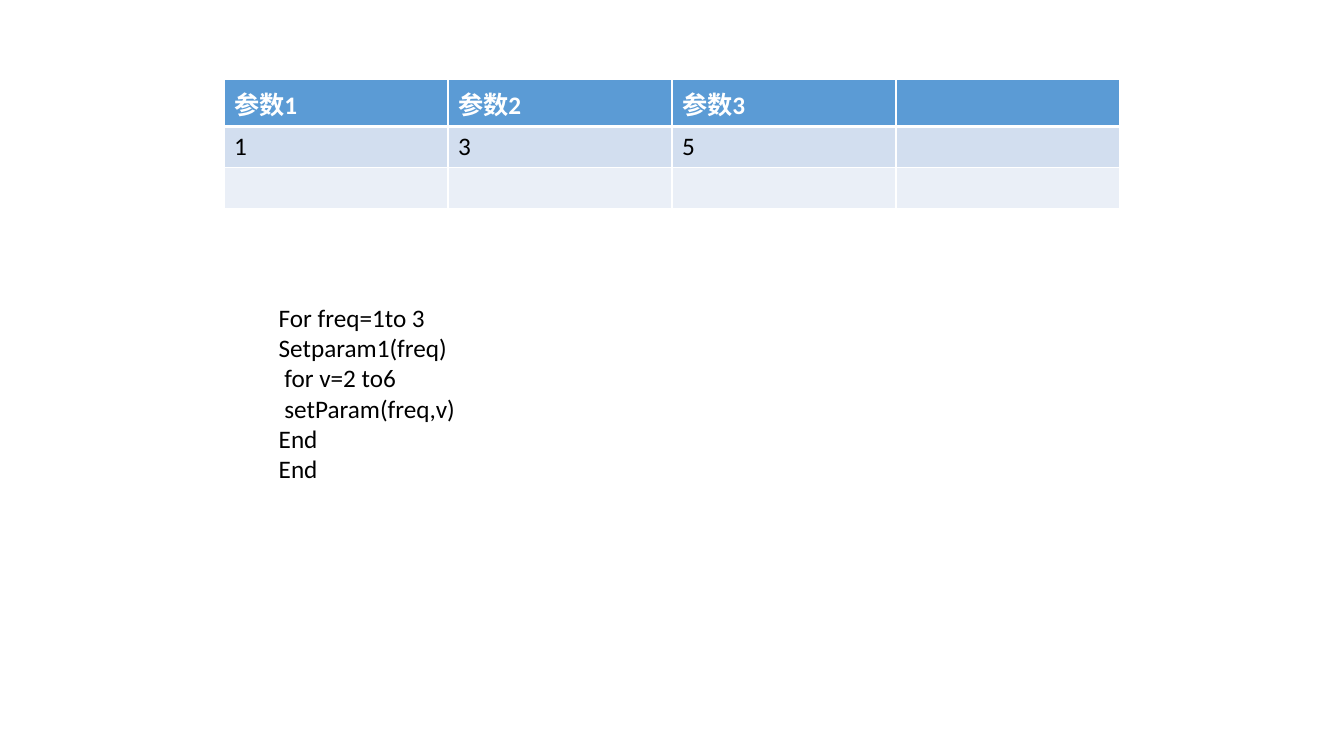
"""Build a slide with a parameter table above a nested loop listing."""
from lxml import etree
from pptx import Presentation
from pptx import util as u
from pptx.dml.color import RGBColor
from pptx.enum import text
from pptx.oxml import ns

WHITE = RGBColor(0xFF, 0xFF, 0xFF)
BLACK = RGBColor(0x00, 0x00, 0x00)
HEADER_BLUE = RGBColor(0x5B, 0x9B, 0xD5)
BAND_BLUE = RGBColor(0xD2, 0xDE, 0xEF)
PALE_BLUE = RGBColor(0xEA, 0xEF, 0xF7)

ROW_FILLS = [HEADER_BLUE, BAND_BLUE, PALE_BLUE]
PARAMETERS = [
    ["参数1", "参数2", "参数3", ""],
    ["1", "3", "5", ""],
    ["", "", "", ""],
]
LOOP_CODE = [
    "For freq=1to 3",
    "Setparam1(freq)",
    " for v=2 to6",
    " setParam(freq,v)",
    "End",
    "End",
]


def add_run(paragraph, words, color, bold=False):
    """Append one formatted run to a paragraph."""
    run = paragraph.add_run()
    run.text = words
    run.font.name = "Calibri"
    run.font.size = u.Pt(18)
    run.font.bold = bold
    run.font.color.rgb = color


def add_border(cell, side, width):
    """Draw a white border on one side (L, R, T or B) of a cell."""
    properties = cell._tc.get_or_add_tcPr()
    line = etree.SubElement(properties, ns.qn(f"a:ln{side}"), w=str(u.Pt(width)))
    fill = etree.SubElement(line, ns.qn("a:solidFill"))
    etree.SubElement(fill, ns.qn("a:srgbClr"), val=str(WHITE))


def add_parameter_table(slide):
    """Add the banded table of parameter values."""
    frame = slide.shapes.add_table(
        len(PARAMETERS), len(PARAMETERS[0]),
        u.Pt(160), u.Pt(57), u.Pt(640), u.Pt(87.6))
    for row, values in enumerate(PARAMETERS):
        header = row == 0
        for column, value in enumerate(values):
            cell = frame.table.cell(row, column)
            widths = {"L": 1, "R": 1, "T": 3 if row == 1 else 1, "B": 3 if header else 1}
            for side, width in widths.items():
                add_border(cell, side, width)
            cell.fill.solid()
            cell.fill.fore_color.rgb = ROW_FILLS[row]
            if value:
                add_run(cell.text_frame.paragraphs[0], value,
                        WHITE if header else BLACK, header)


def add_listing(slide, lines):
    """Add the loop listing, one paragraph a line."""
    listing = slide.shapes.add_textbox(u.Pt(192), u.Pt(212.4), u.Pt(142), u.Pt(138))
    body = listing.text_frame
    body.word_wrap = False
    body.auto_size = text.MSO_AUTO_SIZE.SHAPE_TO_FIT_TEXT
    for number, line in enumerate(lines):
        paragraph = body.add_paragraph() if number else body.paragraphs[0]
        add_run(paragraph, line, BLACK)


def main():
    """Create and save the slide."""
    deck = Presentation()
    deck.slide_width, deck.slide_height = u.Pt(960), u.Pt(540)
    slide = deck.slides.add_slide(deck.slide_layouts[6])
    add_parameter_table(slide)
    add_listing(slide, LOOP_CODE)
    deck.save("out.pptx")


if __name__ == "__main__":
    main()
